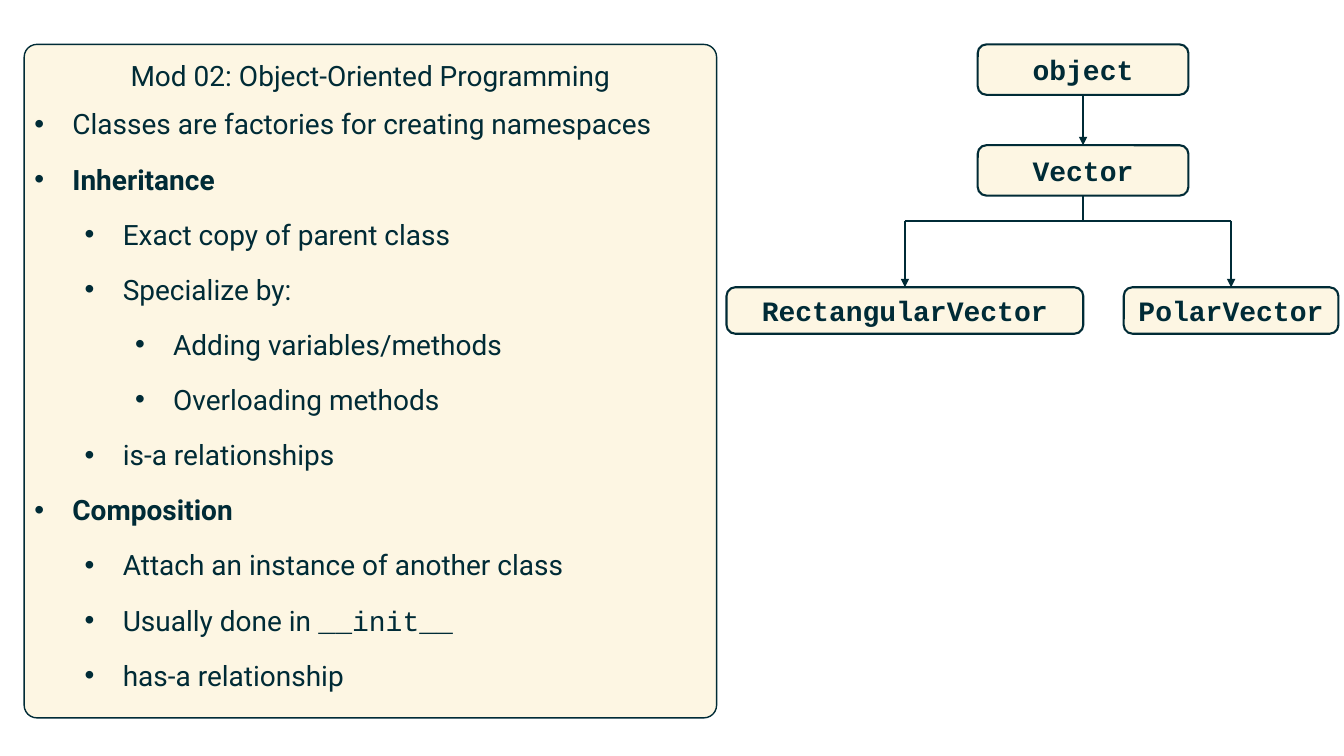
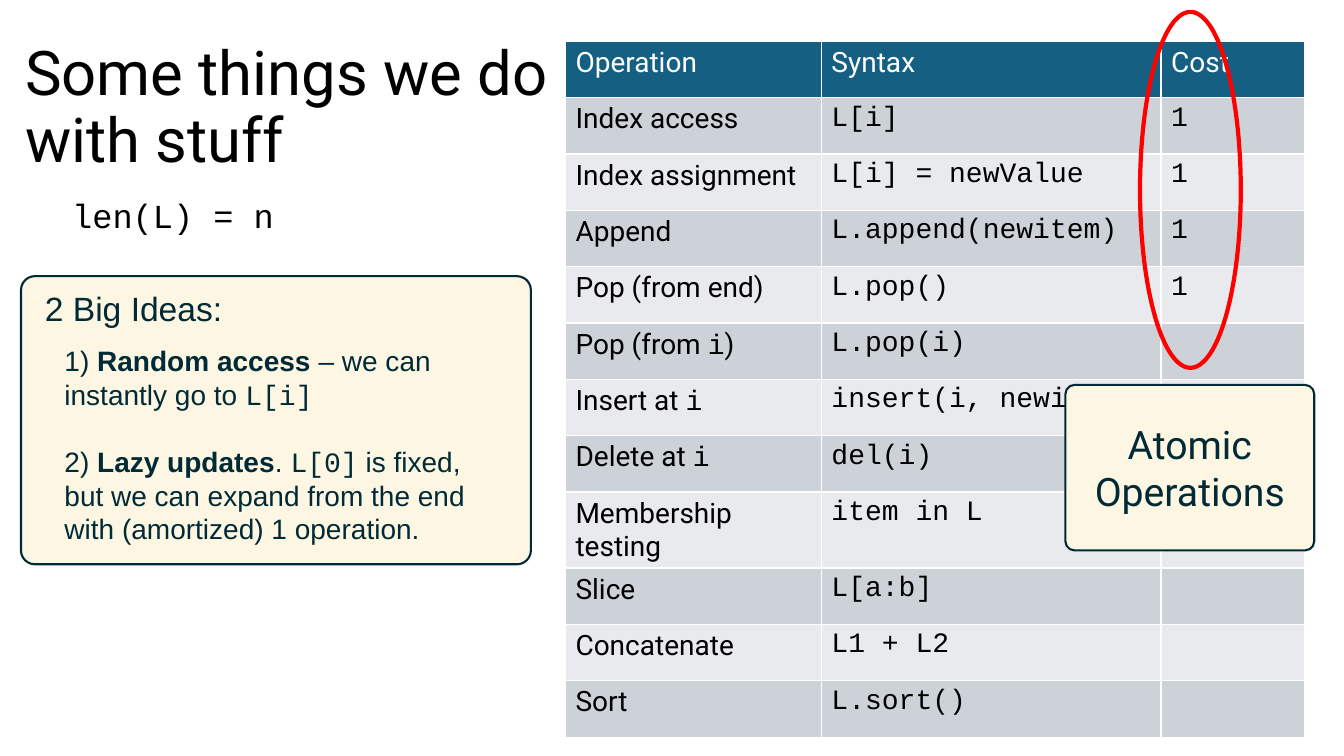
from dataclasses import dataclass

from lxml.etree import SubElement
from pptx import Presentation
from pptx.dml.color import RGBColor as Color
from pptx.enum.shapes import MSO_CONNECTOR as Connector, MSO_SHAPE as Shape
from pptx.enum.text import MSO_ANCHOR as Anchor, MSO_AUTO_SIZE as AutoSize, PP_ALIGN as Align
from pptx.oxml.ns import qn
from pptx.util import Cm, Pt


@dataclass(frozen=True)
class Theme:
    ink: Color = Color.from_string("002B36")
    cream: Color = Color.from_string("FDF6E3")
    black: Color = Color.from_string("000000")
    white: Color = Color.from_string("FFFFFF")
    red: Color = Color.from_string("FF0000")
    header: Color = Color.from_string("156082")
    bands: tuple = (Color.from_string("CCD2D8"), Color.from_string("E8EAED"))
    sans: str = "Roboto"
    plain: str = "Arial"
    code: str = "Courier New"
    title: int = 44
    callout: int = 28
    lead: int = 24
    body: int = 20


theme = Theme()


def write(para, text, size=theme.body, color=theme.ink, font=theme.sans, bold=False,
          align=Align.LEFT, before=0, after=0, spacing=1.0, level=0, indent=None, bullet=None):
    """Write text into a paragraph; `code` and *bold* mark single spans."""
    para.alignment, para.level, para.line_spacing = align, level, spacing
    para.space_before, para.space_after = Pt(before), Pt(after)
    if indent is not None:
        props = para._p.get_or_add_pPr()
        props.set("marL", str(indent))
        props.set("indent", str(-indent_step if bullet else 0))
        if bullet:
            SubElement(props, qn("a:buFont")).set("typeface", theme.plain)
            SubElement(props, qn("a:buChar")).set("char", bullet)
        else:
            SubElement(props, qn("a:buNone"))
    for code_index, chunk in enumerate(text.split("`")):
        for bold_index, piece in enumerate(chunk.split("*")):
            if piece:
                span = para.add_run()
                span.text = piece
                span.font.name = theme.code if code_index % 2 else font
                span.font.size = Pt(size)
                span.font.bold = bold or bold_index % 2 == 1
                span.font.color.rgb = color


def add_card(page, left, top, width, height, radius, line=1.5):
    """Add a cream rounded box with the corner radius in centimetres."""
    card = page.shapes.add_shape(Shape.ROUNDED_RECTANGLE, Cm(left), Cm(top), Cm(width), Cm(height))
    card.adjustments[0] = radius / min(width, height)
    card.shadow.inherit = False
    card.fill.solid()
    card.fill.fore_color.rgb = theme.cream
    card.line.color.rgb = theme.ink
    card.line.width = Pt(line)
    return card


indent_step = Cm(0.96)
level_step = Cm(1.27)

deck = Presentation()
deck.slide_width, deck.slide_height = Cm(33.87), Cm(19.05)
layout = deck.slide_layouts[1]

# Both pages: title and body placeholders on top of a cream card
pages = []
for card_place, title_place, body_place in (
    ((0.61, 1.12, 17.45, 16.97, 0.32, 1), (0.61, 1.2, 17.45, 1.4), (0.61, 2.45, 17.45, 15.5)),
    ((0.53, 6.96, 12.85, 7.26, 0.35), (0.38, 0.91, 29.21, 3.68), (1.37, 8.53, 11.66, 5.5)),
):
    page = deck.slides.add_slide(layout)
    title, body = page.shapes.title, page.placeholders[1]
    card = add_card(page, *card_place)
    title.element.addprevious(card.element)
    for holder, place, anchor in ((title, title_place, Anchor.MIDDLE), (body, body_place, Anchor.TOP)):
        holder.left, holder.top, holder.width, holder.height = map(Cm, place)
        holder.text_frame.auto_size = AutoSize.NONE
        holder.text_frame.vertical_anchor = anchor
    pages.append((page, title.text_frame, body.text_frame, card))

# Page 1: summary list
page, title, body, card = pages[0]
write(title.paragraphs[0], "Mod 02: Object-Oriented Programming", align=Align.CENTER)
summary = (
    (0, "Classes are factories for creating namespaces"),
    (0, "*Inheritance*"),
    (1, "Exact copy of parent class"),
    (1, "Specialize by:"),
    (2, "Adding variables/methods"),
    (2, "Overloading methods"),
    (1, "is-a relationships"),
    (0, "*Composition*"),
    (1, "Attach an instance of another class"),
    (1, "Usually done in `__init__`"),
    (1, "has-a relationship"),
)
for index, (level, text) in enumerate(summary):
    para = body.add_paragraph() if index else body.paragraphs[0]
    write(para, text, before=6, after=6, spacing=1.14, level=level,
          indent=indent_step + level * level_step, bullet="•")

# Page 1: class tree
nodes = {
    "object": (24.64, 1.12, 5.31, 1.27),
    "Vector": (24.64, 3.66, 5.31, 1.27),
    "RectangularVector": (18.31, 7.24, 8.99, 1.17),
    "PolarVector": (28.32, 7.24, 5.41, 1.17),
}
center = {}
for name, (left, top, width, height) in nodes.items():
    center[name] = left + width / 2
    node = add_card(page, left, top, width, height, radius=0.22)
    write(node.text_frame.paragraphs[0], name, font=theme.code, bold=True,
          align=Align.CENTER, before=6)

trunk, left_branch, right_branch = center["Vector"], center["RectangularVector"], center["PolarVector"]
fork = 5.56
for x1, y1, x2, y2, arrow in (
    (trunk, 2.39, trunk, 3.66, True),
    (trunk, 4.93, trunk, fork, False),
    (left_branch, fork, right_branch, fork, False),
    (left_branch, fork, left_branch, 7.24, True),
    (right_branch, fork, right_branch, 7.24, True),
):
    link = page.shapes.add_connector(Connector.STRAIGHT, Cm(x1), Cm(y1), Cm(x2), Cm(y2))
    link.line.color.rgb = theme.ink
    link.line.width = Pt(1.5)
    if arrow:
        SubElement(link.line._get_or_add_ln(), qn("a:tailEnd")).set("type", "triangle")
    SubElement(link.element.spPr, qn("a:effectLst"))

# Page 2: title
page, title, body, card = pages[1]
heading = title.paragraphs[0]
title_format = dict(size=theme.title, color=theme.black, spacing=0.9)
write(heading, "Some things we do", **title_format)
heading.add_line_break()
write(heading, "with stuff", **title_format)

# Page 2: table of operations
rows = (
    ("Operation", "Syntax", "Cost"),
    ("Index access", "`L[i]`", "`1`"),
    ("Index assignment", "`L[i] = newValue`", "`1`"),
    ("Append", "`L.append(newitem)`", "`1`"),
    ("Pop (from end)", "`L.pop()`", "`1`"),
    ("Pop (from `i`)", "`L.pop(i)`", ""),
    ("Insert at `i`", "`insert(i, newitem)`", ""),
    ("Delete at `i`", "`del(i)`", ""),
    ("Membership testing", "`item in L`", ""),
    ("Slice", "`L[a:b]`", ""),
    ("Concatenate", "`L1 + L2`", ""),
    ("Sort", "`L.sort()`", ""),
)
widths = (6.45, 8.56, 3.61)
row_height = 1.42
table = page.shapes.add_table(len(rows), len(widths), Cm(14.25), Cm(1.04),
                              Cm(sum(widths)), Cm(row_height * len(rows))).table
for column, width in zip(table.columns, widths):
    column.width = Cm(width)
for row_index, row in enumerate(rows):
    table.rows[row_index].height = Cm(row_height)
    for column_index, text in enumerate(row):
        cell = table.cell(row_index, column_index)
        cell.fill.solid()
        cell.fill.fore_color.rgb = theme.bands[(row_index - 1) % 2] if row_index else theme.header
        write(cell.text_frame.paragraphs[0], text, color=theme.black if row_index else theme.white)

# Page 2: length note
note = page.shapes.add_textbox(Cm(1.57), Cm(4.78), Cm(6.12), Cm(1.27)).text_frame
note.word_wrap = True
write(note.paragraphs[0], "`len(L) = n`", size=theme.lead, color=theme.black)

# Page 2: ring around the costs and its callout
ring = page.shapes.add_shape(Shape.OVAL, Cm(28.73), Cm(0.3), Cm(2.54), Cm(8.97))
ring.shadow.inherit = False
ring.fill.background()
ring.line.color.rgb = theme.red
ring.line.width = Pt(3)
callout = add_card(page, 26.85, 9.7, 6.27, 4.17, radius=0.23)
write(callout.text_frame.paragraphs[0], "Atomic Operations", size=theme.callout, align=Align.CENTER)

# Page 2: big ideas
card.text_frame.vertical_anchor = Anchor.TOP
card.text_frame.margin_left = Cm(0.5)
card.text_frame.margin_top = Cm(0.2)
write(card.text_frame.paragraphs[0], "2 Big Ideas:", size=theme.lead, font=theme.plain)
ideas = (
    "1) *Random access* – we can instantly go to `L[i]`",
    "2) *Lazy updates*. `L[0]` is fixed, but we can expand from the end with (amortized) 1 operation.",
)
for index, text in enumerate(ideas):
    para = body.add_paragraph() if index else body.paragraphs[0]
    write(para, text, font=theme.plain, before=24 * index, indent=0)

deck.save("out.pptx")
